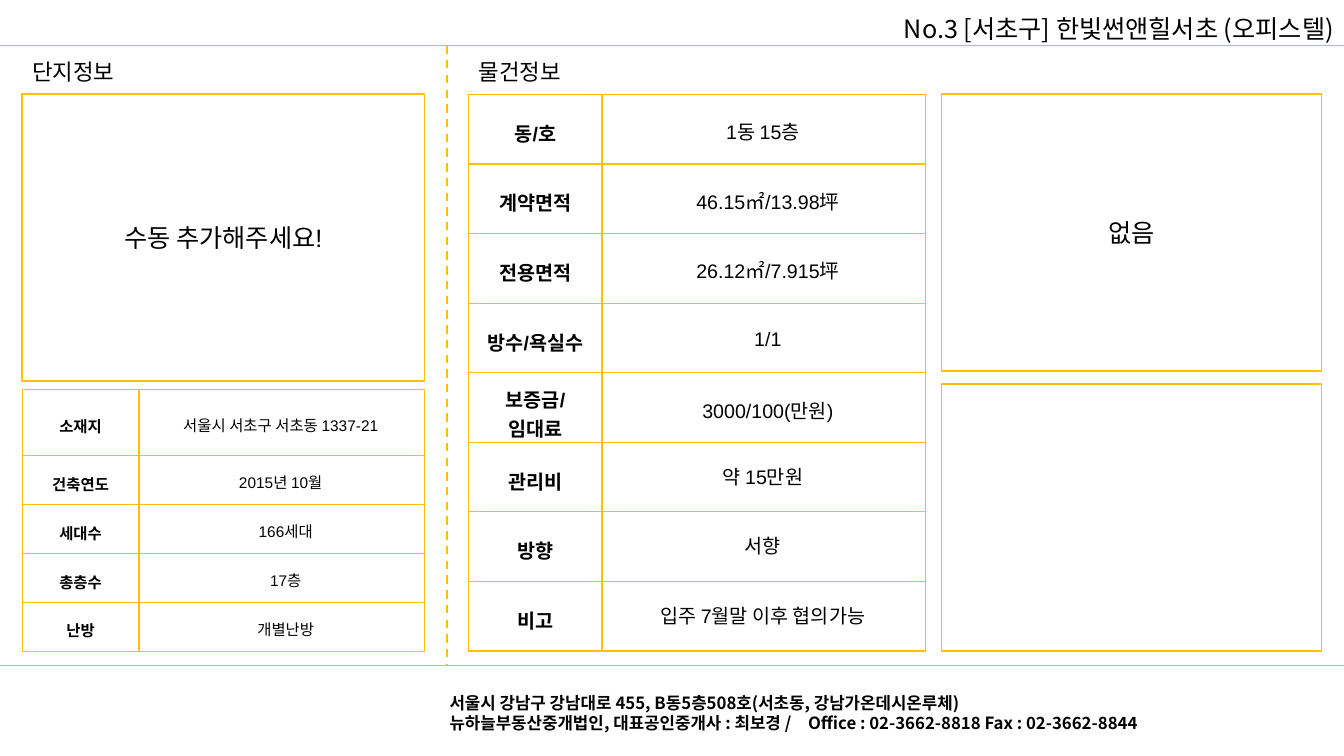
from pptx import Presentation
from pptx.dml.color import RGBColor
from pptx.enum.dml import MSO_LINE
from pptx.enum.shapes import MSO_CONNECTOR, MSO_SHAPE
from pptx.enum.text import MSO_ANCHOR, PP_ALIGN
from pptx.oxml.ns import qn
from pptx.util import Pt
from lxml.etree import SubElement

HUES = {"gold": "FFC000", "ink": "000000", "paper": "FFFFFF"}
SANS, ARIAL = "Noto Sans CJK KR", "Arial"
LABEL = (7.2, 8.64, 7.2, 3.6)
EVEN = (7.2, 8.64, 8.64, 5.76)
WIDE = (5.76, 8.64, 0, 5.76)
HIGH = (7.2, 3.6, 8.64, 5.76)
SITE = [
    ("소재지", "서울시 서초구 서초동 1337-21", EVEN),
    ("건축연도", "2015년 10월", EVEN),
    ("세대수", "166세대", WIDE),
    ("총층수", "17층", WIDE),
    ("난방", "개별난방", WIDE),
]
UNIT = [
    ("동/호", "1동 15층", EVEN),
    ("계약면적", "46.15㎡/13.98坪", WIDE),
    ("전용면적", "26.12㎡/7.915坪", WIDE),
    ("방수/욕실수", "1/1", WIDE),
    ("보증금/\n임대료", "3000/100(만원)", WIDE),
    ("관리비", "약 15만원", HIGH),
    ("방향", "서향", HIGH),
    ("비고", "입주 7월말 이후 협의가능", HIGH),
]
OFFICE = """서울시 강남구 강남대로 455, B동5층508호(서초동, 강남가온데시온루체)
뉴하늘부동산중개법인, 대표공인중개사 : 최보경 /　Office : 02-3662-8818 Fax : 02-3662-8844"""


class Sheet:
    """Draws the elements of a property sheet in one style."""

    def __init__(self, slide):
        self.slide = slide
        self.shapes = slide.shapes

    def hue(self, name):
        return RGBColor.from_string(HUES[name])

    def fill_text(self, frame, text, size, font=SANS, bold=False, align=PP_ALIGN.CENTER):
        for i, line in enumerate(text.split("\n")):
            para = frame.add_paragraph() if i else frame.paragraphs[0]
            para.alignment = align
            run = para.add_run()
            run.text = line
            run.font.size = Pt(size)
            run.font.bold = bold
            run.font.name = font
            run.font.color.rgb = self.hue("ink")
            SubElement(run.font._element, qn("a:ea"), typeface=SANS)

    def title(self, text, x, y, w, h):
        head = self.shapes.title
        head.left, head.top, head.width, head.height = Pt(x), Pt(y), Pt(w), Pt(h)
        head.text_frame.vertical_anchor = MSO_ANCHOR.TOP
        self.fill_text(head.text_frame, text, 18, align=PP_ALIGN.RIGHT)

    def text(self, text, x, y, w, h, size, bold=False):
        frame = self.shapes.add_textbox(Pt(x), Pt(y), Pt(w), Pt(h)).text_frame
        frame.word_wrap = True
        self.fill_text(frame, text, size, bold=bold, align=PP_ALIGN.LEFT)

    def line(self, x1, y1, x2, y2, width=0.5, dash=None):
        rule = self.shapes.add_connector(
            MSO_CONNECTOR.STRAIGHT, Pt(x1), Pt(y1), Pt(x2), Pt(y2))
        rule.line.color.rgb = self.hue("gold")
        rule.line.width = Pt(width)
        if dash:
            rule.line.dash_style = dash
        SubElement(rule._element.spPr, qn("a:effectLst"))

    def box(self, x, y, w, h, text="", font=SANS):
        box = self.shapes.add_shape(MSO_SHAPE.RECTANGLE, Pt(x), Pt(y), Pt(w), Pt(h))
        box.shadow.inherit = False
        box.fill.solid()
        box.fill.fore_color.rgb = self.hue("paper")
        box.line.color.rgb = self.hue("gold")
        box.line.width = Pt(1)
        if text:
            box.text_frame.vertical_anchor = MSO_ANCHOR.MIDDLE
            self.fill_text(box.text_frame, text, 18, font)

    def cell(self, cell, text, size, pads, bold):
        cell.margin_left, cell.margin_top, cell.margin_right, cell.margin_bottom = map(Pt, pads)
        cell.vertical_anchor = MSO_ANCHOR.MIDDLE
        props = cell._tc.get_or_add_tcPr()
        for side in ("lnL", "lnR", "lnT", "lnB"):
            edge = SubElement(props, qn("a:" + side), w=str(Pt(1)))
            fill = SubElement(edge, qn("a:solidFill"))
            SubElement(fill, qn("a:srgbClr"), val=HUES["gold"])
        cell.fill.background()
        self.fill_text(cell.text_frame, text, size, ARIAL, bold)

    def table(self, rows, x, y, cols, highs, size):
        grid = self.shapes.add_table(
            len(rows), 2, Pt(x), Pt(y), Pt(sum(cols)), Pt(sum(highs))).table
        grid.first_row = grid.horz_banding = False
        for col, width in zip(grid.columns, cols):
            col.width = Pt(width)
        for i, (label, value, pads) in enumerate(rows):
            grid.rows[i].height = Pt(highs[i])
            self.cell(grid.cell(i, 0), label, size, LABEL, True)
            self.cell(grid.cell(i, 1), value, size, pads, False)


def main():
    deck = Presentation()
    deck.slide_width, deck.slide_height = Pt(960), Pt(540)
    sheet = Sheet(deck.slides.add_slide(deck.slide_layouts[5]))
    left, mid, right = 15.84, 334.8, 672.5
    top, base = 32.4, 475.2

    sheet.title("No.3 [서초구] 한빛썬앤힐서초 (오피스텔)", 2.88, 5.76, 957, 29)
    for y in (top, base):
        sheet.line(0, y, 960, y)
    sheet.line(319, top, 319, base, 1.5, MSO_LINE.DASH)
    for name, x in (("단지정보", left), ("물건정보", mid)):
        sheet.text(name, x, 38.16, 150, 26.6, 16)

    sheet.box(left, 67, 287.3, 205.2, "수동 추가해주세요!", ARIAL)
    sheet.table(SITE, left, 278, (83.5, 203.8), [47.2] + [35] * 4, 11)
    sheet.table(UNIT, mid, 67.5, (95.2, 231.3), [49.7] * 8, 14)
    sheet.box(right, 67, 271.5, 198, "없음")
    sheet.box(right, 274.3, 271.5, 190.8)
    sheet.text(OFFICE, 314, 491, 641, 36, 12, True)
    deck.save("out.pptx")


if __name__ == "__main__":
    main()
